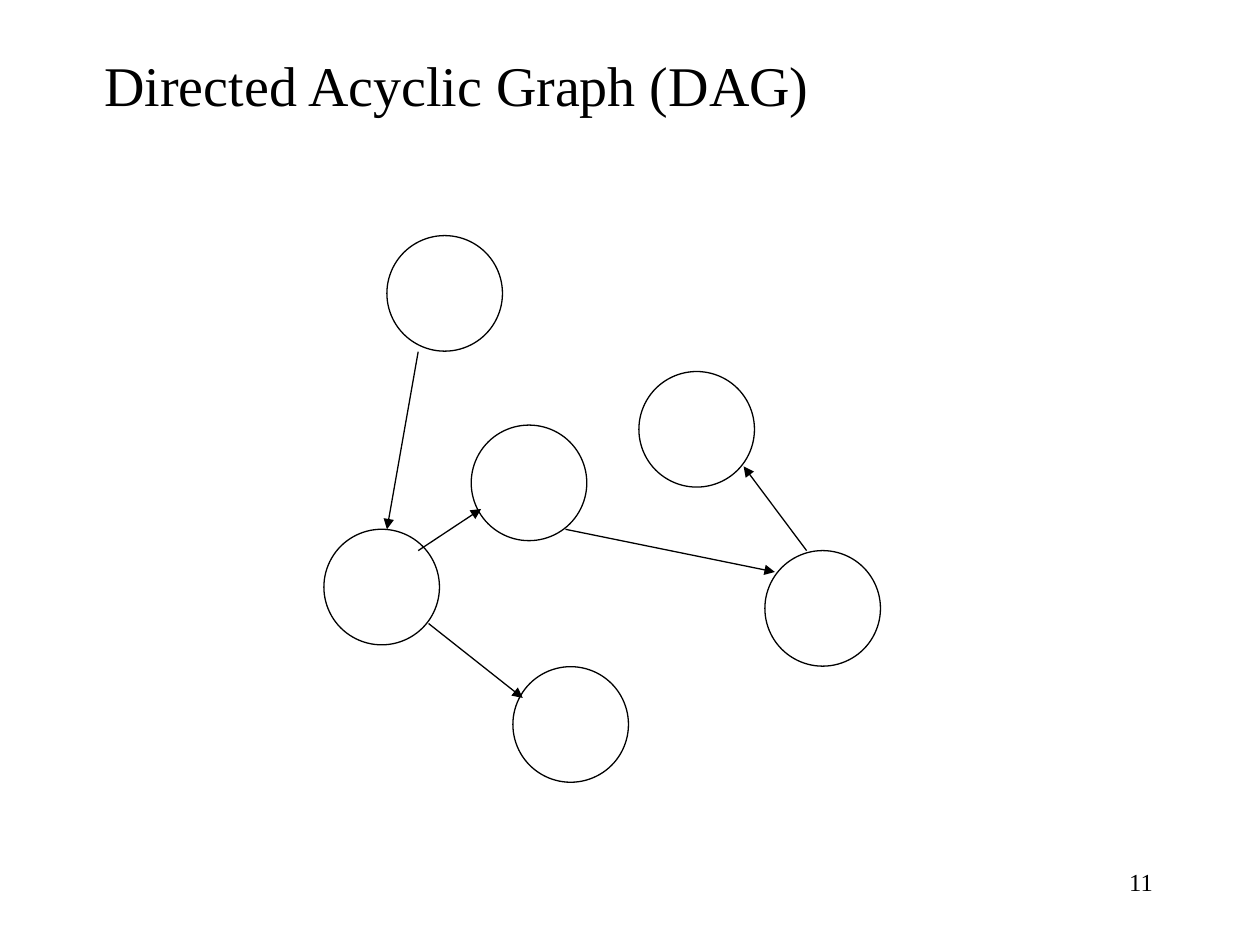
from typing import NamedTuple

import pptx
import pptx.dml.color
import pptx.enum.shapes
import pptx.enum.text
import pptx.oxml
import pptx.oxml.ns
import pptx.util
from pptx.util import Cm

BLACK = pptx.dml.color.RGBColor(0x00, 0x00, 0x00)
FONT_NAME = "Times New Roman"
NODE_DIAMETER = Cm(2.33)
LINE_WIDTH = pptx.util.Pt(0.75)
ALIGN = pptx.enum.text.PP_ALIGN


class Node(NamedTuple):
    """Top left corner of a graph node, in centimetres."""
    left: float
    top: float


class Edge(NamedTuple):
    """Start and end of a directed edge, in centimetres."""
    start_x: float
    start_y: float
    end_x: float
    end_y: float


NODES = [
    Node(9.5, 8.57),
    Node(10.34, 13.44),
    Node(12.88, 7.49),
    Node(7.8, 4.75),
    Node(15.42, 11.1),
    Node(6.53, 10.67),
]
EDGES = [
    Edge(8.43, 7.09, 7.8, 10.67),
    Edge(8.43, 11.1, 9.7, 10.26),
    Edge(8.64, 12.57, 10.54, 14.07),
    Edge(11.4, 10.67, 15.62, 11.53),
    Edge(16.26, 11.1, 14.99, 9.4),
]


def apply_format(target: object, values: dict) -> None:
    """Set every attribute named in values on the target."""
    for attribute, value in values.items():
        setattr(target, attribute, value)


def write_text(holder, wording: str, size: int, alignment, box: dict, frame: dict) -> None:
    """Place a text holder and fill it with one formatted paragraph."""
    apply_format(holder, box)
    text_frame = holder.text_frame
    text_frame.text = wording
    apply_format(text_frame, {"vertical_anchor": pptx.enum.text.MSO_ANCHOR.TOP, **frame})
    paragraph = text_frame.paragraphs[0]
    paragraph.alignment = alignment
    apply_format(paragraph.runs[0].font, {"name": FONT_NAME, "size": pptx.util.Pt(size)})
    paragraph.runs[0].font.color.rgb = BLACK


def draw_outline(line) -> None:
    """Give a line format the thin black stroke."""
    line.color.rgb = BLACK
    line.width = LINE_WIDTH


def draw_node(slide, node: Node) -> None:
    """Draw an unfilled circle for a node."""
    circle = slide.shapes.add_shape(
        pptx.enum.shapes.MSO_SHAPE.OVAL,
        Cm(node.left), Cm(node.top), NODE_DIAMETER, NODE_DIAMETER)
    circle.shadow.inherit = False
    circle.fill.background()
    draw_outline(circle.line)


def draw_edge(slide, edge: Edge) -> None:
    """Draw an arrow that points at the end of an edge."""
    arrow = slide.shapes.add_connector(
        pptx.enum.shapes.MSO_CONNECTOR.STRAIGHT, *(Cm(length) for length in edge))
    draw_outline(arrow.line)
    properties = arrow._element.spPr
    stroke = properties.find(pptx.oxml.ns.qn("a:ln"))
    namespace = pptx.oxml.ns.nsdecls("a")
    stroke.append(pptx.oxml.parse_xml(f'<a:tailEnd {namespace} type="triangle"/>'))
    properties.append(pptx.oxml.parse_xml(f"<a:effectLst {namespace}/>"))


def build_slide() -> None:
    """Build and save the slide with the directed acyclic graph."""
    presentation = pptx.Presentation()
    apply_format(presentation, {"slide_width": Cm(25.4), "slide_height": Cm(19.05)})
    slide = presentation.slides.add_slide(presentation.slide_layouts.get_by_name("Title Only"))

    write_text(
        slide.shapes.title, "Directed Acyclic Graph (DAG)", 32, ALIGN.LEFT,
        {"left": Cm(1.85), "top": Cm(0.89), "width": Cm(14.78), "height": Cm(1.6)},
        {"word_wrap": False, "auto_size": pptx.enum.text.MSO_AUTO_SIZE.SHAPE_TO_FIT_TEXT})

    for node in NODES:
        draw_node(slide, node)
    for edge in EDGES:
        draw_edge(slide, edge)

    page_number = slide.shapes.add_textbox(Cm(18.21), Cm(17.35), Cm(5.28), Cm(1.27))
    write_text(page_number, "11", 14, ALIGN.RIGHT, {}, {"word_wrap": True})

    presentation.save("out.pptx")


build_slide()
